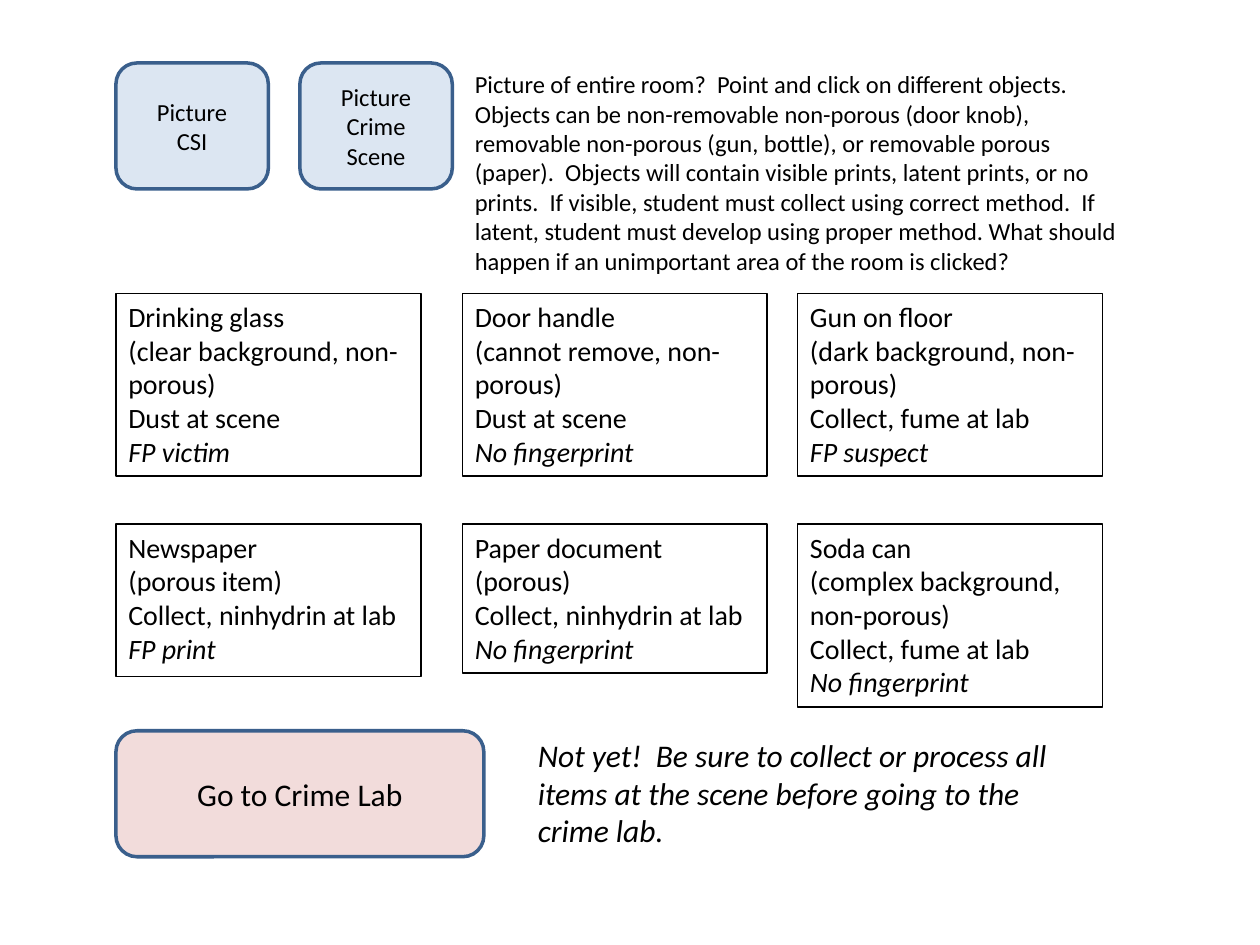
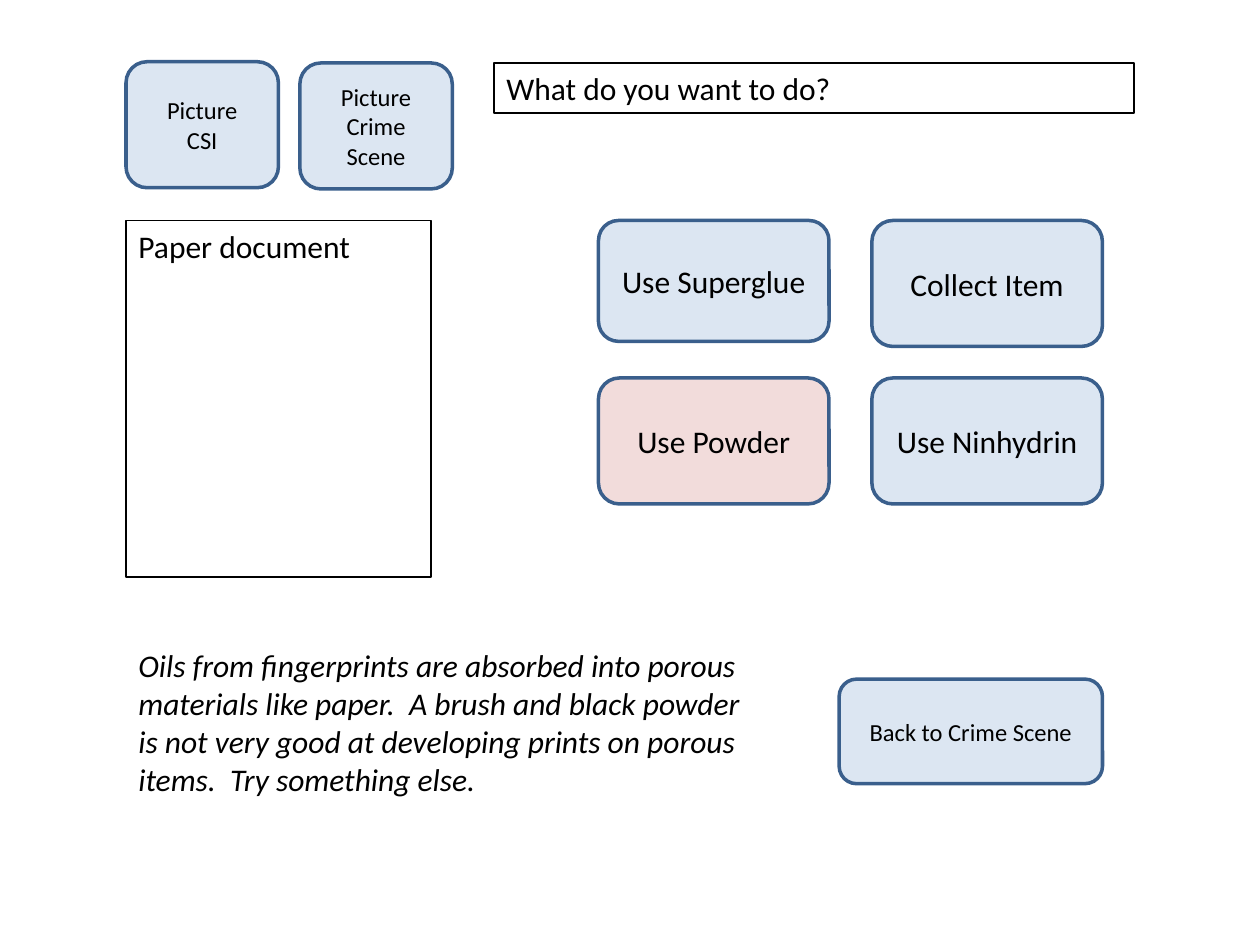
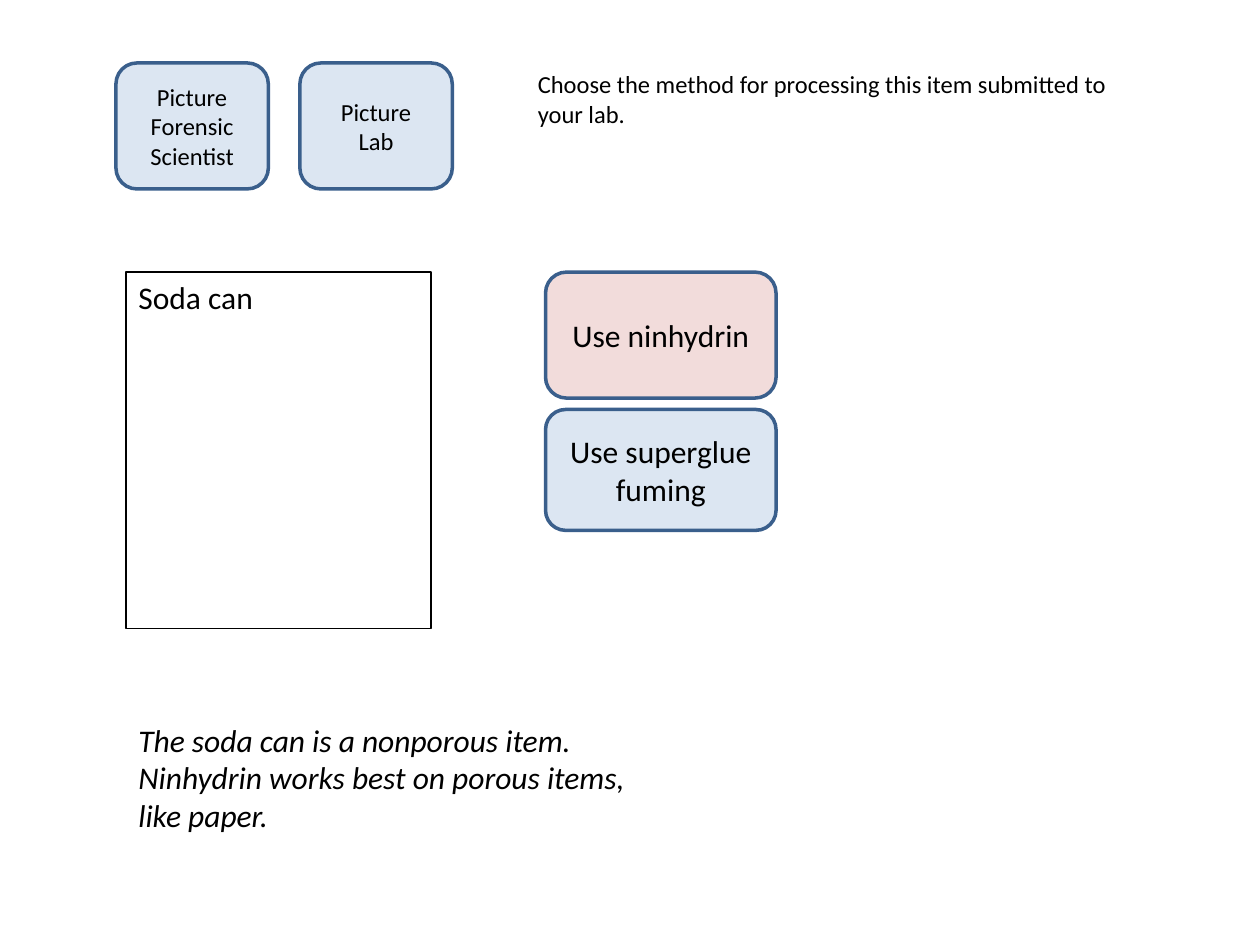
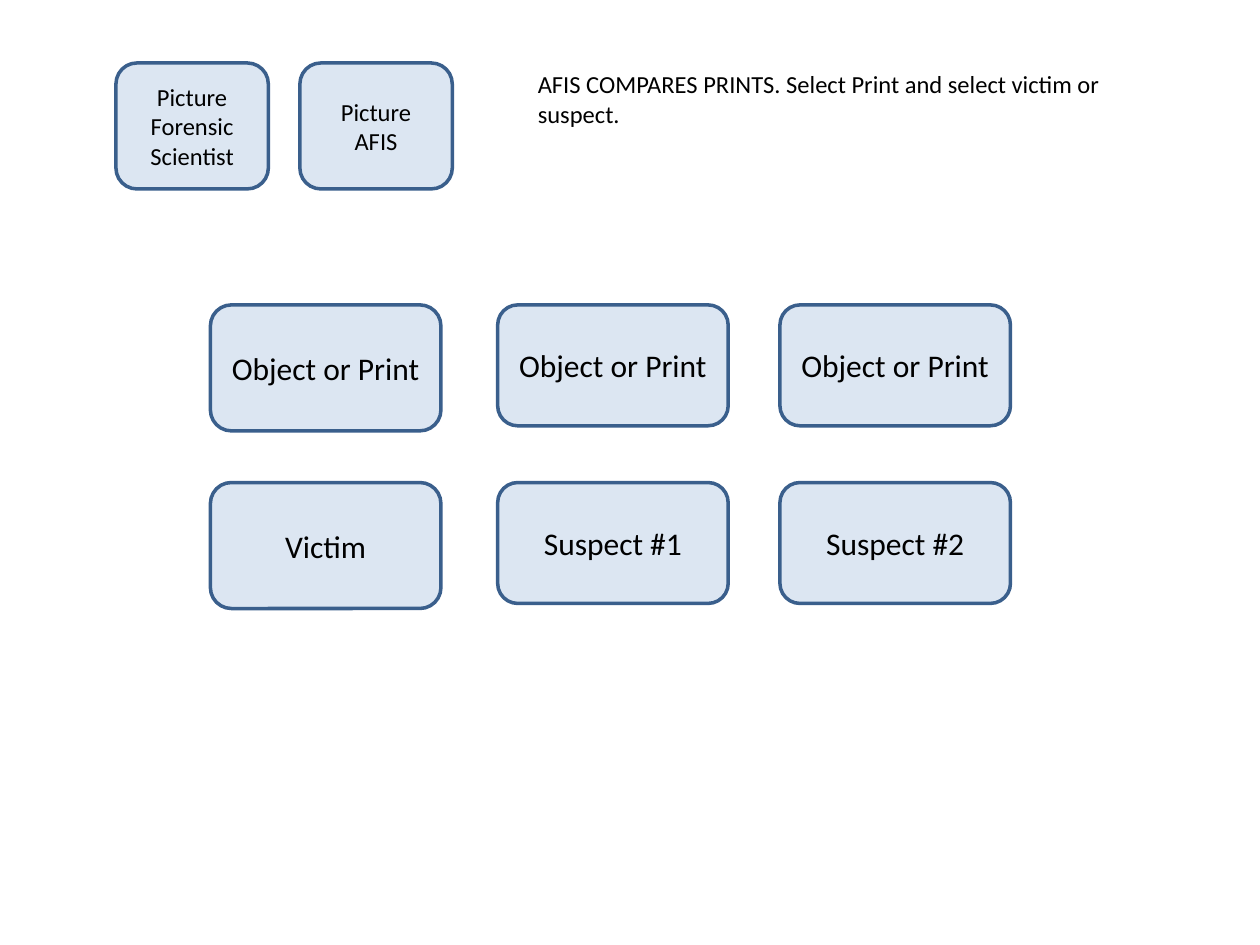
"""Build the four storyboard screens of a fingerprint investigation activity."""
from dataclasses import dataclass
from typing import Optional

from pptx import Presentation
from pptx.dml.color import RGBColor
from pptx.enum.shapes import MSO_SHAPE
from pptx.enum.text import MSO_ANCHOR, MSO_AUTO_SIZE, PP_ALIGN
from pptx.slide import Slide
from pptx.util import Inches, Pt

FONT = "Calibri"
BLACK = "000000"
BLUE = "DCE6F2"
PINK = "F2DCDB"
BORDER = "3A5F8C"

SMALL, MEDIUM, LARGE = 14, 16, 18
LEFT, INDENT = 0.92, 1.0
TOP = 0.5
SCENE_LEFT = 2.38
PROMPT_LEFT = 4.17
PICTURE_WIDTH = 1.21
BUTTON_WIDTH = 1.83
BUTTON_HEIGHT, LOW_HEIGHT = 1.0, 0.96
CARD_WIDTH = 2.42


@dataclass(frozen=True)
class Style:
    """Look of one family of boxes."""

    outline: Optional[MSO_SHAPE] = None
    line: str = BLACK
    weight: float = 1
    align: PP_ALIGN = PP_ALIGN.LEFT
    anchor: MSO_ANCHOR = MSO_ANCHOR.TOP


@dataclass(frozen=True)
class Area:
    """Position and size in inches."""

    left: float
    top: float
    width: float
    height: float


BUTTON = Style(MSO_SHAPE.ROUNDED_RECTANGLE, BORDER, 2, PP_ALIGN.CENTER, MSO_ANCHOR.MIDDLE)
CARD = Style(MSO_SHAPE.RECTANGLE)
PLAIN = Style()


def color(value: str) -> RGBColor:
    """Turn a hex string into a colour."""
    return RGBColor.from_string(value)


def apply(target: object, values: dict) -> None:
    """Set every attribute named in the values."""
    for name, value in values.items():
        setattr(target, name, value)


def add_box(page: Slide, area: Area, lines: list[str], style: Style, size: int,
            fill: Optional[str] = None, italics: tuple[int, ...] = ()) -> None:
    """Draw one box with a paragraph for each line, some of them in italics."""
    place = [Inches(value) for value in (area.left, area.top, area.width, area.height)]
    if style.outline is None:
        box = page.shapes.add_textbox(*place)
    else:
        box = page.shapes.add_shape(style.outline, *place)
        box.shadow.inherit = False
        box.line.color.rgb = color(style.line)
        box.line.width = Pt(style.weight)
        if fill:
            box.fill.solid()
            box.fill.fore_color.rgb = color(fill)
        else:
            box.fill.background()
    frame = box.text_frame
    apply(frame, {"word_wrap": True, "auto_size": MSO_AUTO_SIZE.NONE,
                  "vertical_anchor": style.anchor})
    for index, line in enumerate(lines):
        para = frame.paragraphs[0] if index == 0 else frame.add_paragraph()
        para.alignment = style.align
        span = para.add_run()
        span.text = line
        apply(span.font, {"name": FONT, "size": Pt(size), "italic": index in italics})
        span.font.color.rgb = color(BLACK)


def add_pictures(page: Slide, person: str, place: str,
                 left: float = LEFT, top: float = TOP) -> None:
    """Draw the two picture buttons at the top left."""
    for label, x, y in ((person, left, top), (place, SCENE_LEFT, TOP)):
        add_box(page, Area(x, y, PICTURE_WIDTH, 1), ["Picture", label], BUTTON, SMALL, BLUE)


def add_button(page: Slide, left: float, top: float, label: str,
               height: float = BUTTON_HEIGHT, fill: str = BLUE) -> None:
    """Draw one choice button."""
    add_box(page, Area(left, top, BUTTON_WIDTH, height), [label], BUTTON, LARGE, fill)


def add_item(page: Slide, top: float, name: str) -> None:
    """Draw the tall card of the item being examined."""
    add_box(page, Area(INDENT, top, CARD_WIDTH, 2.83), [name], CARD, LARGE)


def add_prompt(page: Slide, text: str) -> None:
    """Draw the instruction of a lab screen."""
    add_box(page, Area(PROMPT_LEFT, TOP, 4.83, 0.57), [text], PLAIN, SMALL)


def add_feedback(page: Slide, area: Area, text: str) -> None:
    """Draw a feedback message in italics."""
    add_box(page, area, [text], PLAIN, LARGE, italics=(0,))


def build_scene(page: Slide) -> None:
    """Draw the crime scene with its six items."""
    add_pictures(page, "CSI", "Crime Scene")
    add_box(page, Area(3.67, TOP, 5.33, 1.75), [
        "Picture of entire room?  Point and click on different objects.  "
        "Objects can be non-removable non-porous (door knob), removable non-porous "
        "(gun, bottle), or removable porous (paper).  Objects will contain visible "
        "prints, latent prints, or no prints.  If visible, student must collect using "
        "correct method.  If latent, student must develop using proper method. What "
        "should happen if an unimportant area of the room is clicked?"], PLAIN, SMALL)
    rows = (
        (2.33, (
            (1.45, "Drinking glass", "(clear background, non-porous)",
             "Dust at scene", "FP victim"),
            (1.45, "Door handle", "(cannot remove, non-porous)",
             "Dust at scene", "No fingerprint"),
            (1.45, "Gun on floor", "(dark background, non-porous)",
             "Collect, fume at lab", "FP suspect"))),
        (4.16, (
            (1.21, "Newspaper", "(porous item)",
             "Collect, ninhydrin at lab", "FP print"),
            (1.18, "Paper document", "(porous)",
             "Collect, ninhydrin at lab", "No fingerprint"),
            (1.45, "Soda can", "(complex background, non-porous)",
             "Collect, fume at lab", "No fingerprint"))),
    )
    for top, cards in rows:
        for left, (height, *lines) in zip((LEFT, 3.67, 6.33), cards):
            add_box(page, Area(left, top, CARD_WIDTH, height), lines, CARD, MEDIUM,
                    italics=(3,))
    add_box(page, Area(LEFT, 5.8, 2.92, 1), ["Go to Crime Lab"], BUTTON, LARGE, PINK)
    add_feedback(page, Area(PROMPT_LEFT, 5.79, 4.59, 1.01),
                 "Not yet!  Be sure to collect or process all items at the scene "
                 "before going to the crime lab.")


def build_document(page: Slide) -> None:
    """Draw the choices for the paper document."""
    add_pictures(page, "CSI", "Crime Scene", INDENT, 0.49)
    add_box(page, Area(3.92, TOP, 5.08, 0.4), ["What do you want to do?"], CARD, LARGE)
    add_item(page, 1.75, "Paper document")
    add_button(page, 4.75, 1.75, "Use Superglue", LOW_HEIGHT)
    add_button(page, 6.92, 1.75, "Collect Item")
    add_button(page, 4.75, 3, "Use Powder", fill=PINK)
    add_button(page, 6.92, 3, "Use Ninhydrin")
    add_feedback(page, Area(INDENT, 5.08, 5.17, 1.31),
                 "Oils from fingerprints are absorbed into porous materials like paper.  "
                 "A brush and black powder is not very good at developing prints on "
                 "porous items.  Try something else.")
    add_box(page, Area(6.66, 5.39, 2.09, 0.83), ["Back to Crime Scene"], BUTTON, SMALL, BLUE)


def build_lab(page: Slide) -> None:
    """Draw the lab choices for the soda can."""
    add_pictures(page, "Forensic Scientist", "Lab")
    add_prompt(page, "Choose the method for processing this item submitted to your lab.")
    add_item(page, 2.16, "Soda can")
    add_button(page, 4.33, 2.16, "Use ninhydrin", fill=PINK)
    add_button(page, 4.33, 3.25, "Use superglue fuming", LOW_HEIGHT)
    add_feedback(page, Area(INDENT, 5.67, 4.33, 1.01),
                 "The soda can is a nonporous item.  Ninhydrin works best on porous "
                 "items, like paper.")


def build_comparison(page: Slide) -> None:
    """Draw the grid that compares prints with people."""
    add_pictures(page, "Forensic Scientist", "AFIS")
    add_prompt(page, "AFIS COMPARES PRINTS. Select Print and select victim or suspect.")
    columns = ((1.67, BUTTON_HEIGHT, "Victim"),
               (3.95, LOW_HEIGHT, "Suspect #1"),
               (6.19, LOW_HEIGHT, "Suspect #2"))
    for left, height, person in columns:
        add_button(page, left, 2.42, "Object or Print", height)
        add_button(page, left, 3.83, person, height)


def main() -> None:
    """Build and save the deck."""
    deck = Presentation()
    deck.slide_width, deck.slide_height = Inches(10), Inches(7.5)
    blank = deck.slide_layouts.get_by_name("Blank")
    for build in (build_scene, build_document, build_lab, build_comparison):
        build(deck.slides.add_slide(blank))
    deck.save("out.pptx")


main()
